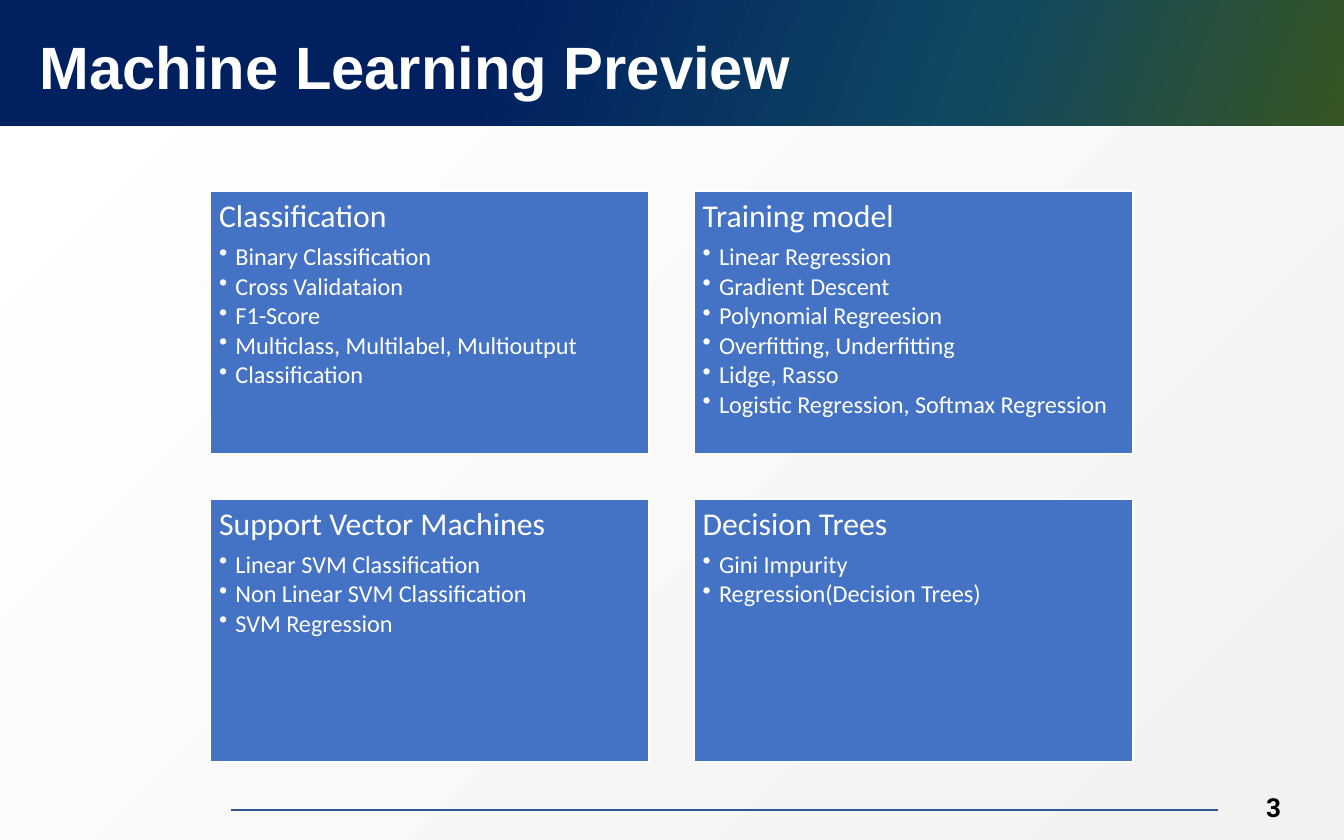
from copy import deepcopy

from lxml.etree import SubElement
from pptx import Presentation
from pptx.dml.color import RGBColor
from pptx.enum.shapes import MSO_CONNECTOR, MSO_SHAPE
from pptx.enum.text import MSO_ANCHOR, PP_ALIGN
from pptx.oxml.ns import qn
from pptx.util import Cm, Pt


def color(hex_string):
    return RGBColor.from_string(hex_string)


def format_font(font, name, size, hex_string, bold=False):
    font.name = name
    font.size = Pt(size)
    font.bold = bold
    font.color.rgb = color(hex_string)


TOPICS = [
    ("Classification", ["Binary Classification", "Cross Validataion", "F1-Score",
                        "Multiclass, Multilabel, Multioutput", "Classification"]),
    ("Training model", ["Linear Regression", "Gradient Descent", "Polynomial Regreesion",
                        "Overfitting, Underfitting", "Lidge, Rasso",
                        "Logistic Regression, Softmax Regression"]),
    ("Support Vector Machines", ["Linear SVM Classification",
                                 "Non Linear SVM Classification", "SVM Regression"]),
    ("Decision Trees", ["Gini Impurity", "Regression(Decision Trees)"]),
]
CARD_LEFT, CARD_TOP = 3.97, 3.61
CARD_WIDTH, CARD_HEIGHT, CARD_GAP = 8.3, 4.98, 0.84

presentation = Presentation()
presentation.slide_width = Cm(25.4)
presentation.slide_height = Cm(15.88)
slide = presentation.slides.add_slide(presentation.slide_layouts[5])
shapes = slide.shapes

# Background
background = slide.background.fill
background.gradient()
background.gradient_angle = 315
for stop, hex_string in zip(background.gradient_stops, ["FFFFFF", "F2F2F2"]):
    stop.color.rgb = color(hex_string)

# Header band with four gradient stops
band = shapes.add_shape(MSO_SHAPE.RECTANGLE, 0, 0, Cm(25.4), Cm(2.38))
band.shadow.inherit = False
band.line.fill.background()
band.fill.gradient()
band.fill.gradient_angle = 160
stop_list = band._element.spPr.find(".//" + qn("a:gsLst"))
for extra_stop in list(stop_list):
    stop_list.append(deepcopy(extra_stop))
band_stops = [(0, "375523"), (0.28, "104862"), (0.64, "002060"), (1, "002060")]
for stop, (position, hex_string) in zip(band.fill.gradient_stops, band_stops):
    stop.position = position
    stop.color.rgb = color(hex_string)

# Title, raised above the band
title = shapes.title
shapes.element.append(title._element)
title.left, title.top, title.width, title.height = 0, 0, Cm(25.4), Cm(2.64)
title.text_frame.text = "Machine Learning Preview"
title.text_frame.vertical_anchor = MSO_ANCHOR.MIDDLE
title.text_frame.margin_left = Cm(0.75)
paragraph = title.text_frame.paragraphs[0]
paragraph.alignment = PP_ALIGN.LEFT
paragraph.line_spacing = 0.9
format_font(paragraph.runs[0].font, "Arial", 32, "FFFFFF", bold=True)

# Topic cards in a two by two grid
for index, (heading, items) in enumerate(TOPICS):
    row, column = divmod(index, 2)
    card = shapes.add_shape(
        MSO_SHAPE.RECTANGLE,
        Cm(CARD_LEFT + column * (CARD_WIDTH + CARD_GAP)),
        Cm(CARD_TOP + row * (CARD_HEIGHT + CARD_GAP)),
        Cm(CARD_WIDTH), Cm(CARD_HEIGHT))
    card.shadow.inherit = False
    card.fill.solid()
    card.fill.fore_color.rgb = color("4472C4")
    card.line.color.rgb = color("FFFFFF")
    card.line.width = Pt(1)
    frame = card.text_frame
    frame.word_wrap = True
    frame.vertical_anchor = MSO_ANCHOR.TOP
    frame.margin_left = frame.margin_right = Cm(0.17)
    frame.margin_top = frame.margin_bottom = Cm(0.17)
    frame.text = "\n".join([heading] + items)
    for number, paragraph in enumerate(frame.paragraphs):
        is_item = number > 0
        paragraph.alignment = PP_ALIGN.LEFT
        paragraph.line_spacing = 0.9
        paragraph.space_after = Pt(1.8 if is_item else 5.5)
        if is_item:
            paragraph.level = 1
            properties = paragraph._p.get_or_add_pPr()
            properties.set("marL", str(Cm(0.31)))
            properties.set("indent", str(-Cm(0.31)))
            SubElement(properties, qn("a:buChar"), char="•")
        format_font(paragraph.runs[0].font, "Calibri", 13 if is_item else 17, "FFFFFF")

# Footer line and page number
footer_line = shapes.add_connector(
    MSO_CONNECTOR.STRAIGHT, Cm(4.37), Cm(15.32), Cm(23.01), Cm(15.32))
footer_line.line.color.rgb = color("2F5597")
footer_line.line.width = Pt(1)
SubElement(footer_line._element.spPr, qn("a:effectLst"))

page_number = shapes.add_textbox(Cm(22.61), Cm(14.83), Cm(1.85), Cm(0.84))
page_number.text_frame.word_wrap = True
page_number.text_frame.text = "3"
paragraph = page_number.text_frame.paragraphs[0]
paragraph.alignment = PP_ALIGN.RIGHT
format_font(paragraph.runs[0].font, "Roboto", 14, "000000", bold=True)

presentation.save("out.pptx")
